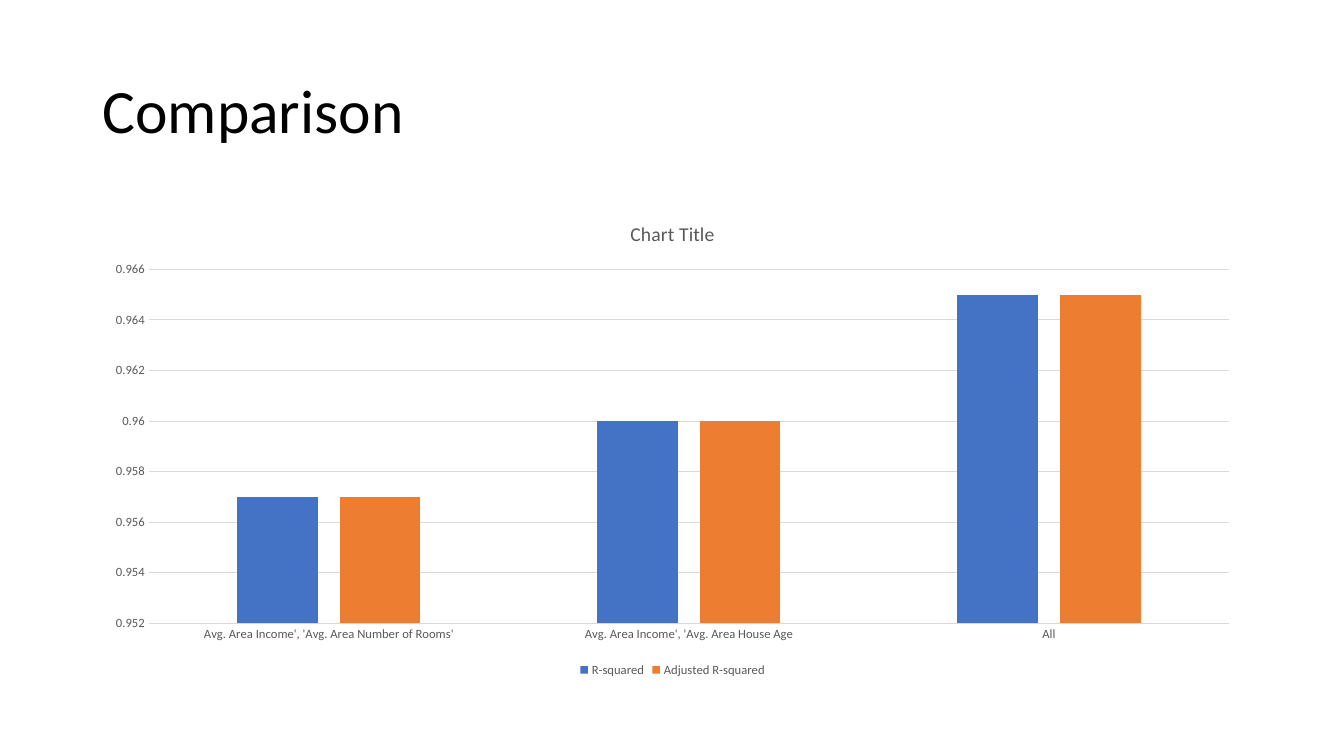
from pptx import Presentation
from pptx.chart.data import CategoryChartData as ChartData
from pptx.dml.color import RGBColor
from pptx.enum.chart import XL_CHART_TYPE as Kind
from pptx.enum.chart import XL_LEGEND_POSITION as Place
from pptx.enum.chart import XL_TICK_MARK as Tick
from pptx.enum.text import MSO_ANCHOR as Anchor
from pptx.util import Inches, Pt

BLACK = RGBColor(0x00, 0x00, 0x00)
GREY = RGBColor(0x59, 0x59, 0x59)
PALE = RGBColor(0xD9, 0xD9, 0xD9)
BLUE = RGBColor(0x44, 0x72, 0xC4)
ORANGE = RGBColor(0xED, 0x7D, 0x31)

GROUPS = [
    "Avg. Area Income', 'Avg. Area Number of Rooms'",
    "Avg. Area Income', 'Avg. Area House Age",
    "All",
]
SCORES = [
    ("R-squared", (0.957, 0.96, 0.965), BLUE),
    ("Adjusted R-squared", (0.957, 0.96, 0.965), ORANGE),
]


class Deck:
    face = "Calibri"

    def __init__(self, prs):
        self.slide = prs.slides.add_slide(prs.slide_layouts[6])

    def style(self, font, size, color):
        font.name = self.face
        font.size = Pt(size)
        font.bold = False
        font.color.rgb = color

    def rule(self, line):
        line.color.rgb = PALE
        line.width = Pt(0.75)

    def title(self, text, left, top, width, height):
        box = self.slide.shapes.add_textbox(
            Inches(left), Inches(top), Inches(width), Inches(height))
        frame = box.text_frame
        frame.word_wrap = True
        frame.vertical_anchor = Anchor.MIDDLE
        para = frame.paragraphs[0]
        para.text = text
        para.line_spacing = 0.9
        self.style(para.font, 44, BLACK)

    def columns(self, heading, groups, scores, left, top, width, height):
        data = ChartData(number_format="General")
        data.categories = groups
        for name, values, _ in scores:
            data.add_series(name, values)
        chart = self.slide.shapes.add_chart(
            Kind.COLUMN_CLUSTERED, Inches(left), Inches(top),
            Inches(width), Inches(height), data).chart
        self.style(chart.font, 10, BLACK)

        chart.has_title = True
        para = chart.chart_title.text_frame.paragraphs[0]
        para.text = heading
        self.style(para.font, 14, GREY)
        chart.chart_title.include_in_layout = False

        chart.has_legend = True
        chart.legend.position = Place.BOTTOM
        chart.legend.include_in_layout = False
        self.style(chart.legend.font, 9, GREY)

        plot = chart.plots[0]
        plot.gap_width = 219
        plot.overlap = -27
        plot.vary_by_categories = False
        for series, (_, _, color) in zip(plot.series, scores):
            series.format.fill.solid()
            series.format.fill.fore_color.rgb = color
            series.invert_if_negative = False
        self.axes(chart.category_axis, chart.value_axis)

    def axes(self, base, scale):
        for axis in (base, scale):
            axis.major_tick_mark = axis.minor_tick_mark = Tick.NONE
            self.style(axis.tick_labels.font, 9, GREY)
        self.rule(base.format.line)
        scale.format.line.fill.background()
        scale.minimum_scale = 0.952
        scale.maximum_scale = 0.966
        scale.major_unit = 0.002
        scale.has_major_gridlines = True
        self.rule(scale.major_gridlines.format.line)


def main():
    prs = Presentation()
    prs.slide_width = Inches(13.33)
    prs.slide_height = Inches(7.5)
    deck = Deck(prs)
    deck.title("Comparison", 0.92, 0.4, 11.5, 1.45)
    deck.columns("Chart Title", GROUPS, SCORES, 0.92, 2, 11.5, 4.76)
    prs.save("out.pptx")


if __name__ == "__main__":
    main()
